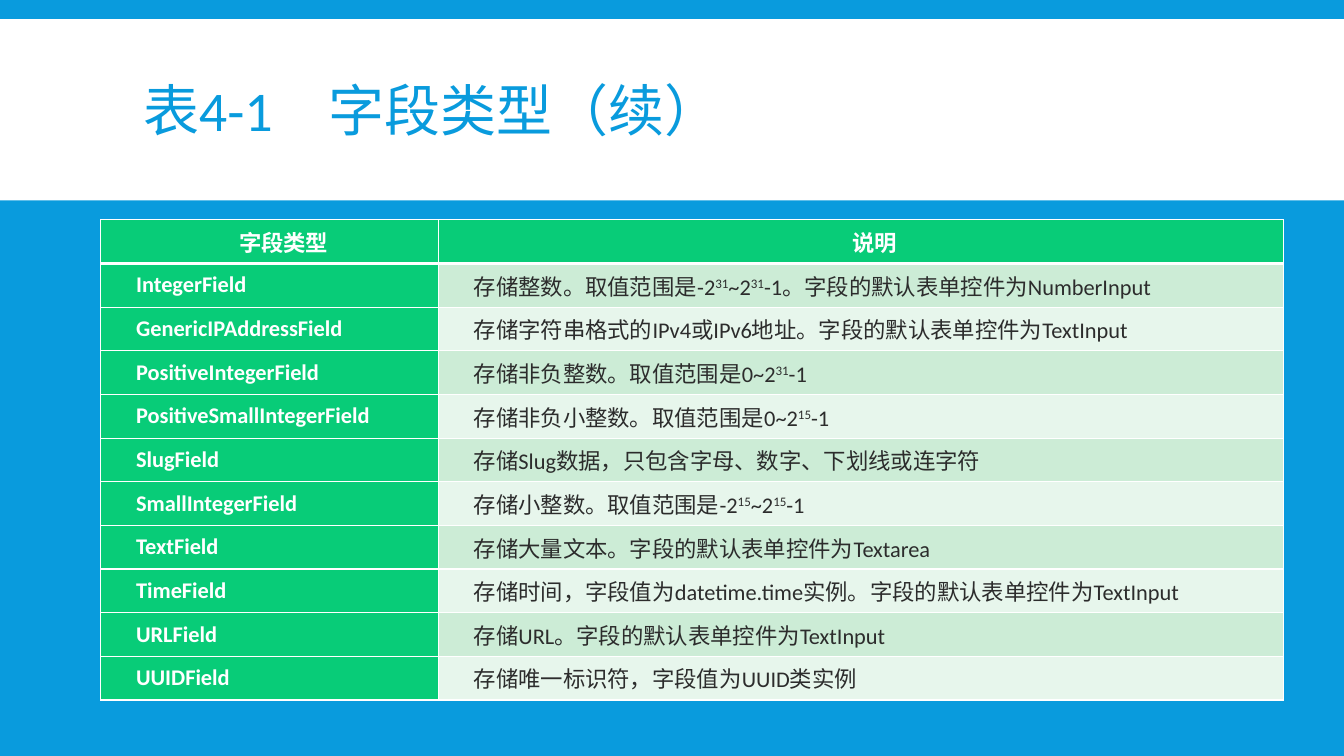
from dataclasses import dataclass

from lxml import etree
from pptx import Presentation
from pptx.dml.color import RGBColor
from pptx.enum import shapes, text
from pptx.oxml import ns
from pptx.util import Cm, Pt

BLUE = RGBColor(0x09, 0x9B, 0xDD)
WHITE = RGBColor(0xFF, 0xFF, 0xFF)
GREEN = RGBColor(0x08, 0xCC, 0x78)
DARK = RGBColor(0x2C, 0x2C, 0x2C)
BANDS = (RGBColor(0xCC, 0xEC, 0xD6), RGBColor(0xE7, 0xF6, 0xEC))

LATIN_FONT = "Calibri"
ASIAN_FONT = "Noto Sans CJK JP"
COLUMN_WIDTHS = (Cm(8.51), Cm(21.29))
ROW_HEIGHT = Cm(1.1)
FIRST_LINE_INDENT = Cm(0.71)


@dataclass(frozen=True)
class FieldType:
    name: str
    description: str


@dataclass(frozen=True)
class CellStyle:
    fill: RGBColor
    color: RGBColor
    bold: bool
    alignment: text.PP_ALIGN
    spacing: Pt
    top: float = 1
    bottom: float = 1


FIELD_TYPES = (
    FieldType("IntegerField", "存储整数。取值范围是-2^31^~2^31^-1。字段的默认表单控件为NumberInput"),
    FieldType("GenericIPAddressField", "存储字符串格式的IPv4或IPv6地址。字段的默认表单控件为TextInput"),
    FieldType("PositiveIntegerField", "存储非负整数。取值范围是0~2^31^-1"),
    FieldType("PositiveSmallIntegerField", "存储非负小整数。取值范围是0~2^15^-1"),
    FieldType("SlugField", "存储Slug数据，只包含字母、数字、下划线或连字符"),
    FieldType("SmallIntegerField", "存储小整数。取值范围是-2^15^~2^15^-1"),
    FieldType("TextField", "存储大量文本。字段的默认表单控件为Textarea"),
    FieldType("TimeField", "存储时间，字段值为datetime.time实例。字段的默认表单控件为TextInput"),
    FieldType("URLField", "存储URL。字段的默认表单控件为TextInput"),
    FieldType("UUIDField", "存储唯一标识符，字段值为UUID类实例"),
)


def format_font(paragraph, size: float, color: RGBColor, bold: bool) -> None:
    font = paragraph.font
    font.name, font.size, font.bold = LATIN_FONT, Pt(size), bold
    font.color.rgb = color
    properties = paragraph._p.get_or_add_pPr().find(ns.qn("a:defRPr"))
    etree.SubElement(properties, ns.qn("a:ea"), typeface=ASIAN_FONT)


def add_runs(paragraph, marked_text: str) -> None:
    for index, part in enumerate(marked_text.split("^")):
        run = paragraph.add_run()
        run.text = part
        if index % 2:
            run._r.get_or_add_rPr().set("baseline", "30000")


def set_borders(cell, style: CellStyle) -> None:
    properties = cell._tc.get_or_add_tcPr()
    widths = {"lnL": 1, "lnR": 1, "lnT": style.top, "lnB": style.bottom}
    for position, (side, width) in enumerate(widths.items()):
        line = etree.Element(ns.qn(f"a:{side}"), w=str(Pt(width)))
        fill = etree.SubElement(line, ns.qn("a:solidFill"))
        etree.SubElement(fill, ns.qn("a:srgbClr"), val=str(WHITE))
        properties.insert(position, line)


def fill_cell(cell, marked_text: str, style: CellStyle) -> None:
    cell.fill.solid()
    cell.fill.fore_color.rgb = style.fill
    set_borders(cell, style)
    cell.vertical_anchor = text.MSO_ANCHOR.MIDDLE
    cell.margin_left = cell.margin_right = Cm(0.18)
    cell.margin_top = cell.margin_bottom = 0
    paragraph = cell.text_frame.paragraphs[0]
    paragraph.alignment = style.alignment
    paragraph.space_before = paragraph.space_after = style.spacing
    paragraph._p.get_or_add_pPr().set("indent", str(FIRST_LINE_INDENT))
    add_runs(paragraph, marked_text)
    format_font(paragraph, 16, style.color, style.bold)


def add_title(slide) -> None:
    title = slide.shapes.title
    title.left, title.top, title.width, title.height = Cm(3.35), Cm(0.79), Cm(27.18), Cm(4.19)
    frame = title.text_frame
    frame.text = "表4-1\u3000字段类型（续）".replace("\u3000", "　")
    frame.auto_size = text.MSO_AUTO_SIZE.NONE
    frame.vertical_anchor = text.MSO_ANCHOR.MIDDLE
    paragraph = frame.paragraphs[0]
    paragraph.alignment = text.PP_ALIGN.LEFT
    paragraph.line_spacing = 0.85
    format_font(paragraph, 40, BLUE, False)


def add_title_band(slide, width: int) -> None:
    band = slide.shapes.add_shape(shapes.MSO_SHAPE.RECTANGLE, 0, Cm(0.48), width, Cm(4.57))
    band.shadow.inherit = False
    band.fill.solid()
    band.fill.fore_color.rgb = WHITE
    band.line.fill.background()
    slide.shapes.title.element.addprevious(band.element)


def add_field_table(slide) -> None:
    row_count = len(FIELD_TYPES) + 1
    table = slide.shapes.add_table(
        row_count, 2, Cm(2.54), Cm(5.54), sum(COLUMN_WIDTHS), ROW_HEIGHT * row_count
    ).table
    table.first_row = table.horz_banding = False
    for column, width in zip(table.columns, COLUMN_WIDTHS):
        column.width = width
    for row in table.rows:
        row.height = ROW_HEIGHT

    header = CellStyle(GREEN, WHITE, True, text.PP_ALIGN.CENTER, Pt(0), bottom=3)
    for column_index, heading in enumerate(("字段类型", "说明")):
        fill_cell(table.cell(0, column_index), heading, header)

    for row_index, field in enumerate(FIELD_TYPES, start=1):
        top = 3 if row_index == 1 else 1
        band = BANDS[(row_index - 1) % 2]
        name_style = CellStyle(GREEN, WHITE, True, text.PP_ALIGN.JUSTIFY, Pt(2), top)
        description_style = CellStyle(band, DARK, False, text.PP_ALIGN.JUSTIFY, Pt(2), top)
        fill_cell(table.cell(row_index, 0), field.name, name_style)
        fill_cell(table.cell(row_index, 1), field.description, description_style)


def main() -> None:
    presentation = Presentation()
    presentation.slide_width, presentation.slide_height = Cm(33.87), Cm(19.05)
    slide = presentation.slides.add_slide(presentation.slide_layouts.get_by_name("Title Only"))
    slide.background.fill.solid()
    slide.background.fill.fore_color.rgb = BLUE
    add_title(slide)
    add_title_band(slide, presentation.slide_width)
    add_field_table(slide)
    presentation.save("out.pptx")


if __name__ == "__main__":
    main()
